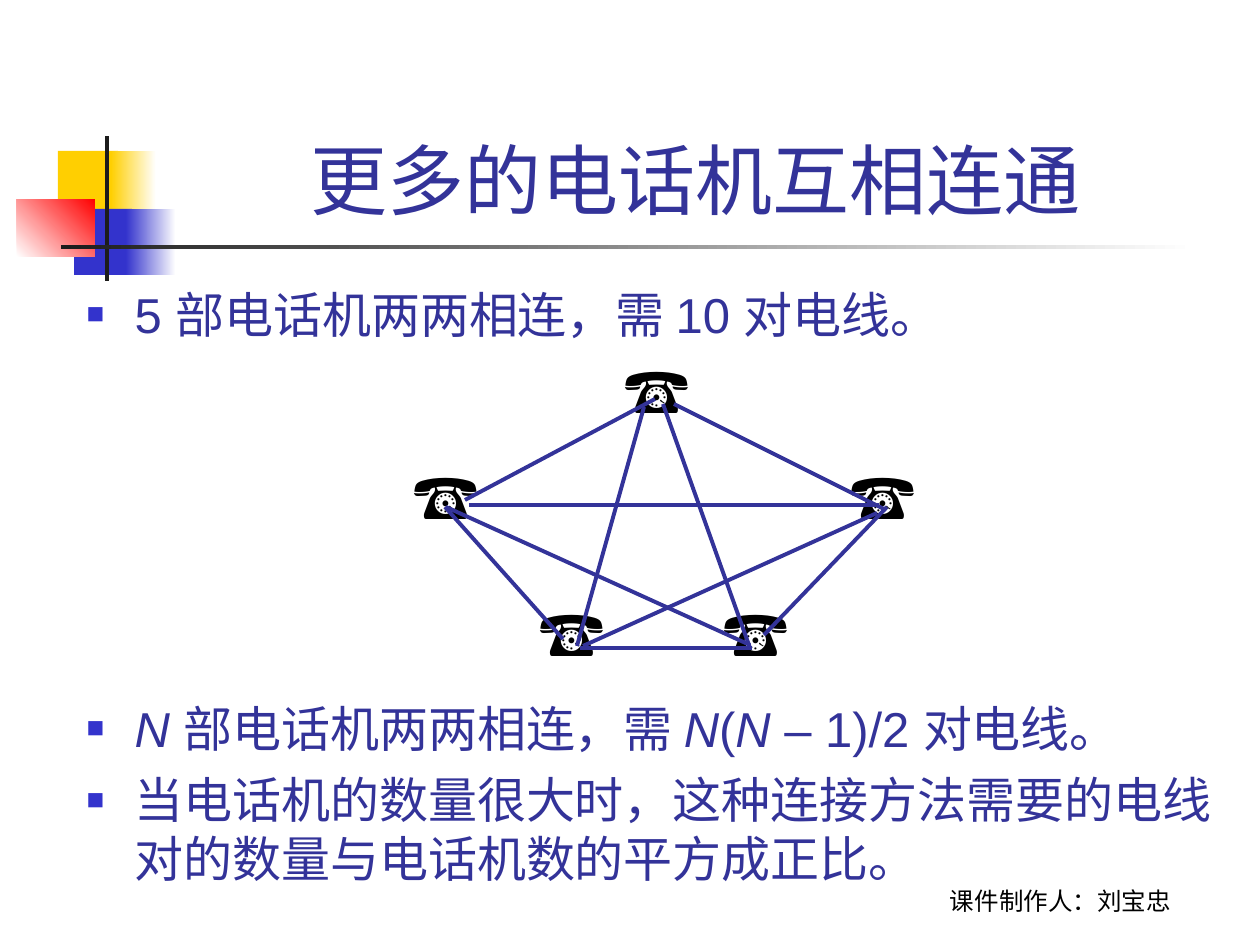
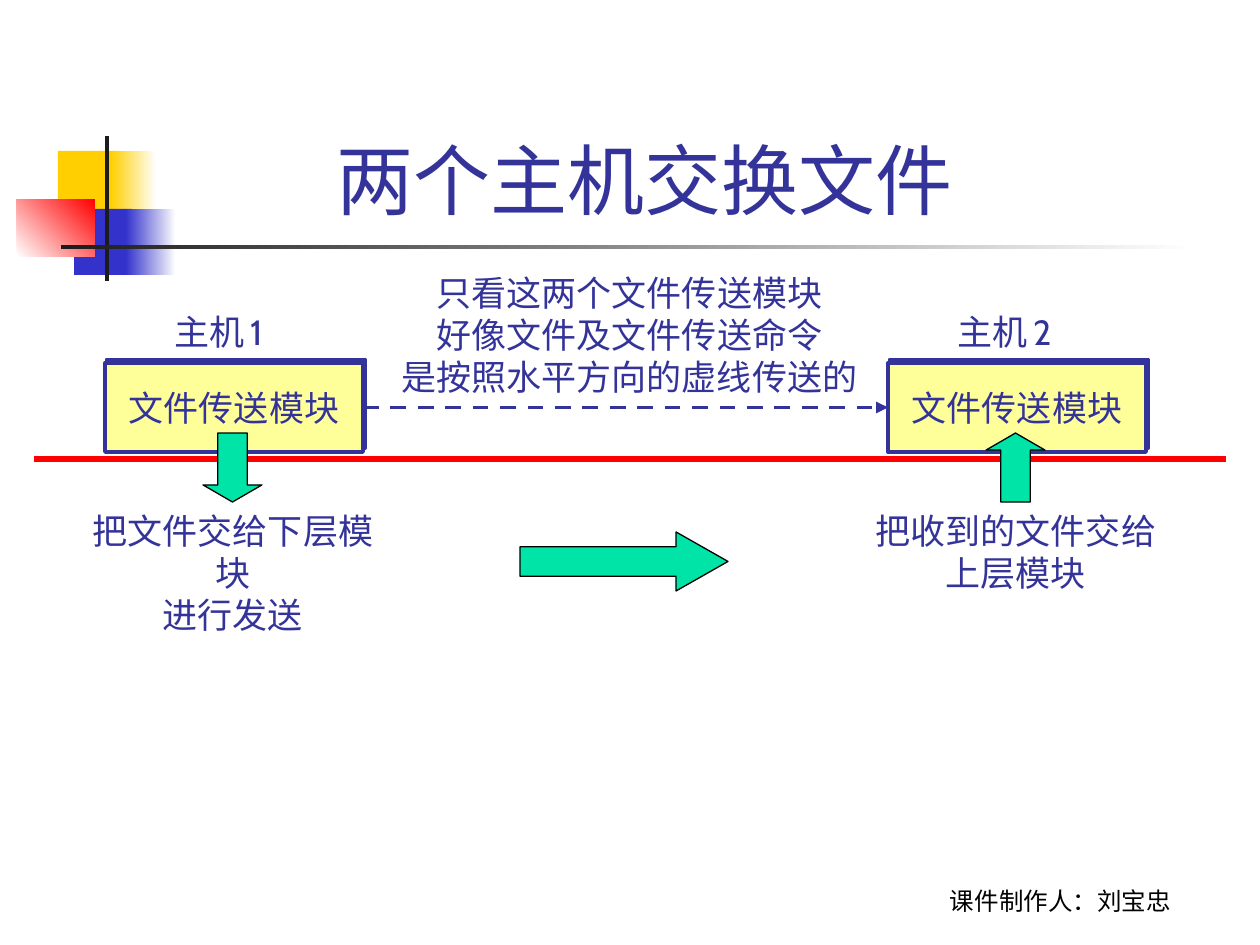
import pptx
import pptx.dml.color
import pptx.enum.dml
import pptx.enum.shapes
import pptx.enum.text
import pptx.oxml.ns
import pptx.util
from lxml import etree

EMU_PER_PX = 914400 / 126
COLORS = {
    "ink": "333399", "blue": "3333CC", "gold": "FFCF01", "red": "FF0000",
    "dark": "1C1C1C", "white": "FFFFFF", "black": "000000",
    "module": "FFFF99", "arrow": "00E4A8",
}
SHAPE = pptx.enum.shapes.MSO_SHAPE
ALIGN = pptx.enum.text.PP_ALIGN
ANCHOR = pptx.enum.text.MSO_ANCHOR
AUTO_SIZE = pptx.enum.text.MSO_AUTO_SIZE


def px(length):
    return pptx.util.Emu(round(length * EMU_PER_PX))


def rgb(name):
    return pptx.dml.color.RGBColor.from_string(COLORS[name])


def add_xml(parent, tag, **attributes):
    return etree.SubElement(parent, pptx.oxml.ns.qn(tag), attributes)


def set_font(font, size, name, color="ink"):
    font.size = pptx.util.Pt(size)
    font.name = name
    font.color.rgb = rgb(color)


def add_box(slide, kind, box, fill, line=None, width=0.75):
    """Add a preset shape; a pair of colour names as fill makes a gradient."""
    shape = slide.shapes.add_shape(kind, *map(px, box))
    shape.shadow.inherit = False
    if isinstance(fill, tuple):
        shape.fill.gradient()
        for stop, color in zip(shape.fill.gradient_stops, fill):
            stop.color.rgb = rgb(color)
        shape.fill.gradient_angle = 0
    else:
        shape.fill.solid()
        shape.fill.fore_color.rgb = rgb(fill)
    if line:
        shape.line.color.rgb = rgb(line)
        shape.line.width = pptx.util.Pt(width)
    else:
        shape.line.fill.background()
    return shape


def add_text(slide, box, lines, size, name="Cabin", color="ink", align=ALIGN.CENTER):
    text_box = slide.shapes.add_textbox(*map(px, box))
    frame = text_box.text_frame
    frame.word_wrap = False
    frame.auto_size = AUTO_SIZE.SHAPE_TO_FIT_TEXT
    frame.text = "\n".join(lines)
    for paragraph in frame.paragraphs:
        paragraph.alignment = align
        set_font(paragraph.font, size, name, color)
    return frame


def add_line(slide, start, end, color="ink", width=2.25):
    line = slide.shapes.add_connector(
        pptx.enum.shapes.MSO_CONNECTOR.STRAIGHT, *map(px, start + end))
    line.line.color.rgb = rgb(color)
    line.line.width = pptx.util.Pt(width)
    add_xml(line.element.spPr, "a:effectLst")
    return line


def place(placeholder, box):
    placeholder.left, placeholder.top, placeholder.width, placeholder.height = map(px, box)
    placeholder.text_frame.word_wrap = True
    placeholder.text_frame.auto_size = AUTO_SIZE.NONE


def add_master_ornament(presentation, slide):
    """Build the coloured squares and rules, then hand them to the slide master."""
    ornament = [
        add_box(slide, SHAPE.RECTANGLE, box, fill)
        for box, fill in (
            ((58, 151, 60, 66), "gold"),
            ((111, 151, 45, 66), ("gold", "white")),
            ((74, 209, 58, 66), "blue"),
            ((126, 209, 50, 66), ("blue", "white")),
            ((17, 199, 78, 58), ("white", "red")),
            ((105, 136, 4, 145), "dark"),
            ((61, 245, 1134, 4), ("dark", "white")),
        )
    ]
    ornament[4].fill.gradient_angle = 45
    for shape in ornament:
        presentation.slide_master.shapes.element.append(shape.element)


def add_titled_slide(presentation, layout_name, title, title_width):
    slide = presentation.slides.add_slide(
        presentation.slide_layouts.get_by_name(layout_name))
    place(slide.shapes.title, (159, 29, title_width, 202))
    frame = slide.shapes.title.text_frame
    frame.vertical_anchor = ANCHOR.BOTTOM
    frame.text = title
    frame.paragraphs[0].alignment = ALIGN.CENTER
    set_font(frame.paragraphs[0].font, 44, "Arial")

    footer = add_text(slide, (861, 859, 399, 63), ["课件制作人：刘宝忠"], 14, color="black")
    footer.word_wrap = True
    footer.auto_size = AUTO_SIZE.NONE
    footer.vertical_anchor = ANCHOR.BOTTOM
    return slide


def fill_bullets(placeholder, box, bullets):
    """Each bullet is its space before in points and its (text, italic) runs."""
    place(placeholder, box)
    frame = placeholder.text_frame
    for index, (space, runs) in enumerate(bullets):
        paragraph = frame.add_paragraph() if index else frame.paragraphs[0]
        properties = paragraph._p.get_or_add_pPr()
        properties.set("marL", str(px(48)))
        properties.set("indent", str(px(-48)))
        add_xml(add_xml(properties, "a:buClr"), "a:srgbClr", val=COLORS["blue"])
        add_xml(properties, "a:buSzPct", val="60000")
        add_xml(properties, "a:buFont", typeface="Arial")
        add_xml(properties, "a:buChar", char="■")
        paragraph.space_before = pptx.util.Pt(space)
        set_font(paragraph.font, 28, "Arial")
        for text, italic in runs:
            run = paragraph.add_run()
            run.text = text
            if italic:
                run.font.italic = True


def add_phone_network(slide, left, top):
    phones = ((211, 0), (0, 106), (126, 243), (437, 106), (310, 243))
    wires = (
        ((64, 156), (254, 55)), ((273, 60), (485, 166)),
        ((44, 163), (162, 295)), ((179, 304), (351, 304)),
        ((363, 291), (486, 163)), ((262, 60), (349, 304)),
        ((243, 63), (176, 302)), ((68, 161), (478, 161)),
        ((45, 163), (349, 301)), ((182, 302), (476, 169)),
    )
    for x, y in phones:
        add_text(slide, (left + x, top + y, 107, 88), ["☎"], 36, "Arial", "black", ALIGN.LEFT)
    for wire in wires:
        add_line(slide, *((left + x, top + y) for x, y in wire))


def add_host(slide, left, top, number, arrow_kind, note):
    """Add a host's label, module, vertical arrow and note; return the module."""
    module = add_box(slide, SHAPE.RECTANGLE, (left, top, 258, 89), "module", "ink", 2.25)
    effects = module.element.spPr.find(pptx.oxml.ns.qn("a:effectLst"))
    shadow = add_xml(effects, "a:outerShdw", dist="27940", dir="17760000",
                     algn="ctr", rotWithShape="0")
    add_xml(shadow, "a:srgbClr", val=COLORS["ink"])
    frame = module.text_frame
    frame.word_wrap = False
    frame.vertical_anchor = ANCHOR.MIDDLE
    frame.text = "文件传送模块"
    frame.paragraphs[0].alignment = ALIGN.CENTER
    set_font(frame.paragraphs[0].font, 20, "Cabin")

    label = add_text(slide, (left + 57, top - 59, 126, 55), ["主机"], 20, align=ALIGN.LEFT)
    for text, size in ((" ", 14), (number, 20)):
        run = label.paragraphs[0].add_run()
        run.text = text
        run.font.size = pptx.util.Pt(size)

    arrow = add_box(slide, arrow_kind, (left + 98, top + 70, 59, 69), "arrow", "black")
    arrow.adjustments[1] = 0.29
    add_text(slide, (left - 42, top + 140, 340, 97), note, 20)
    return module


def build_network_slide(presentation):
    slide = add_titled_slide(presentation, "Title and Content", "更多的电话机互相连通", 1074)
    add_master_ornament(presentation, slide)
    fill_bullets(slide.placeholders[1], (74, 278, 1186, 667), (
        (0, [("5 部电话机两两相连，需 10 对电线。", False)]),
        (203, [("N ", True), ("部电话机两两相连，需 ", False), ("N", True),
               ("(", False), ("N", True), (" – 1)/2 对电线。", False)]),
        (7, [("当电话机的数量很大时，这种连接方法需要的电线对的数量与电话机数的平方成正比。", False)]),
    ))
    add_phone_network(slide, 401, 344)


def build_file_transfer_slide(presentation):
    slide = add_titled_slide(presentation, "Title Only", "两个主机交换文件 ", 988)
    add_line(slide, (34, 459), (1226, 459), "red", 3)
    sender = add_host(slide, 105, 363, "1", SHAPE.DOWN_ARROW,
                      ["把文件交给下层模块", "进行发送"])
    receiver = add_host(slide, 888, 363, "2", SHAPE.UP_ARROW,
                        ["把收到的文件交给", "上层模块"])

    virtual_link = add_line(slide, (363, 408), (888, 408))
    virtual_link.begin_connect(sender, 3)
    virtual_link.end_connect(receiver, 1)
    virtual_link.line.dash_style = pptx.enum.dml.MSO_LINE.DASH
    add_xml(virtual_link.line._get_or_add_ln(), "a:tailEnd", type="triangle")

    add_text(slide, (389, 265, 481, 139),
             ["只看这两个文件传送模块", "好像文件及文件传送命令", "是按照水平方向的虚线传送的"], 20)
    transfer = add_box(slide, SHAPE.RIGHT_ARROW, (520, 532, 208, 59), "arrow", "black")
    transfer.adjustments[1] = 0.88


def main():
    presentation = pptx.Presentation()
    presentation.slide_width, presentation.slide_height = px(1260), px(945)
    build_network_slide(presentation)
    build_file_transfer_slide(presentation)
    presentation.save("out.pptx")


if __name__ == "__main__":
    main()
